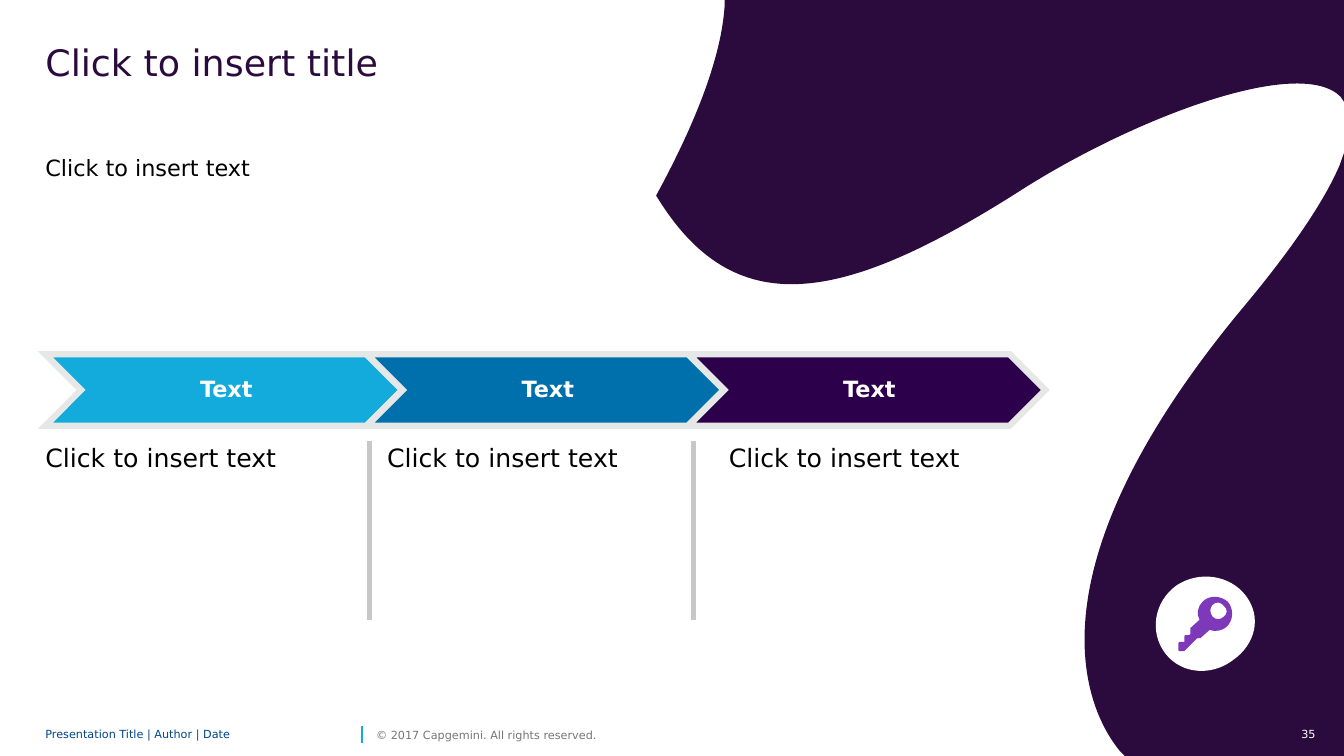
from dataclasses import dataclass

from lxml.etree import SubElement
from pptx import Presentation
from pptx.dml.color import RGBColor
from pptx.enum.shapes import MSO_CONNECTOR, MSO_SHAPE
from pptx.enum.text import MSO_ANCHOR, PP_ALIGN
from pptx.oxml.ns import qn
from pptx.util import Pt


@dataclass(frozen=True)
class Theme:
    font: str = "DejaVu Sans"
    title_size: int = 26
    column_size: int = 18
    body_size: int = 16
    footer_size: int = 8
    plum: str = "2B0A3D"
    violet: str = "2C004B"
    cyan: str = "12ABDB"
    blue: str = "0070AD"
    navy: str = "00458D"
    purple: str = "7E39BA"
    black: str = "000000"
    white: str = "FFFFFF"
    gray: str = "767676"
    divider: str = "C7C7C7"
    outline: str = "E6E7E7"


THEME = Theme()
LEFT = 32.4
FOOTER_TOP = 516.2
PLACEHOLDER = "Click to insert text"

# Outlines in points: two numbers draw a line, six draw a Bézier curve
WAVE = [
    [(960, 109.4), (960, 540), (803.5, 540), (799.9, 536.4),
     (782.6, 515.5, 721.4, 419, 889.2, 218.2),
     (925.2, 175, 946.8, 141.8, 956.9, 118.1)],
    [(517.7, 0), (960, 0), (960, 72.7), (957.6, 69.1),
     (928.1, 39.6, 810.7, 84.2, 730.1, 135.4),
     (600.5, 218.2, 524.2, 231.1, 468.7, 139.7),
     (504, 74.9, 516.2, 31.7, 517.7, 2.9)],
]
BADGE = [
    [(832.3, 466.6),
     (820.8, 451.4, 824.4, 429.8, 840.2, 418.3),
     (856.1, 407.5, 878.4, 410.4, 889.9, 425.5),
     (901.4, 440.6, 897.1, 460.1, 880.6, 471.6),
     (865.4, 483.1, 843.8, 481.7, 832.3, 466.6)],
]
KEY = [
    [(877, 429.8),
     (871.9, 425.5, 864, 424.8, 859, 429.8),
     (855.4, 433.4, 854.6, 438.5, 856.8, 442.8),
     (850.3, 448.6), (850.3, 452.9), (849.6, 453.6), (846.7, 453.6),
     (846, 454.3), (846, 458.6), (842.4, 458.6), (841.7, 459.4),
     (841.7, 464.4), (842.4, 465.1), (846, 465.1), (854.6, 456.5),
     (855.4, 455.8), (857.5, 455.8), (864, 450),
     (868.3, 451.4, 872.6, 450.7, 876.2, 447.8),
     (881.3, 442.8, 881.3, 434.9, 877, 429.8)],
    [(874.1, 440.6),
     (871.9, 442.8, 868.3, 442.8, 866.2, 440.6),
     (864, 437.8, 864, 434.2, 866.2, 432),
     (868.3, 429.8, 871.9, 429.8, 874.1, 432.7),
     (877, 434.9, 877, 438.5, 874.1, 440.6)],
]


def color(value):
    return RGBColor.from_string(value)


def add_segment(outline, tag, numbers, left, top):
    segment = SubElement(outline, qn(tag))
    for x, y in zip(numbers[::2], numbers[1::2]):
        SubElement(segment, qn("a:pt"), x=str(Pt(x - left)), y=str(Pt(y - top)))


def add_outline(slide, box, contours, fill):
    # Frame the outline first, then fill it with lines and true curves
    left, top, width, height = box
    right, bottom = left + width, top + height
    builder = slide.shapes.build_freeform(Pt(left), Pt(top))
    builder.add_line_segments(
        [(Pt(right), Pt(top)), (Pt(right), Pt(bottom)), (Pt(left), Pt(bottom))])
    shape = builder.convert_to_shape()
    outline = next(shape._element.iter(qn("a:path")))
    for child in list(outline):
        outline.remove(child)
    for contour in contours:
        add_segment(outline, "a:moveTo", contour[0], left, top)
        for numbers in contour[1:]:
            tag = "a:lnTo" if len(numbers) == 2 else "a:cubicBezTo"
            add_segment(outline, tag, numbers, left, top)
        SubElement(outline, qn("a:close"))
    shape.shadow.inherit = False
    shape.fill.solid()
    shape.fill.fore_color.rgb = color(fill)
    shape.line.fill.background()


def write_text(shape, text, size, ink, spacing=1.0, align=PP_ALIGN.LEFT,
               anchor=MSO_ANCHOR.TOP, insets=(0, 0, 0, 0), bold=False):
    frame = shape.text_frame
    frame.word_wrap = True
    frame.vertical_anchor = anchor
    (frame.margin_left, frame.margin_top,
     frame.margin_right, frame.margin_bottom) = map(Pt, insets)
    paragraph = frame.paragraphs[0]
    paragraph.alignment = align
    paragraph.line_spacing = spacing
    run = paragraph.add_run()
    run.text = text
    run.font.name = THEME.font
    run.font.size = Pt(size)
    run.font.bold = bold
    run.font.color.rgb = color(ink)


def add_text(slide, box, text, size, ink, **options):
    shape = slide.shapes.add_textbox(*map(Pt, box))
    write_text(shape, text, size, ink, **options)


def add_chevron(slide, left, text, fill):
    shape = slide.shapes.add_shape(
        MSO_SHAPE.CHEVRON, Pt(left), Pt(253), Pt(254.9), Pt(51.1))
    shape.shadow.inherit = False
    shape.fill.solid()
    shape.fill.fore_color.rgb = color(fill)
    shape.line.color.rgb = color(THEME.outline)
    shape.line.width = Pt(4.5)
    # Sharp corners
    SubElement(shape.line._get_or_add_ln(), qn("a:miter"), lim="800000")
    write_text(shape, text, THEME.body_size, THEME.white, spacing=0.9,
               align=PP_ALIGN.CENTER, anchor=MSO_ANCHOR.MIDDLE,
               insets=(5, 1.4, 1.4, 1.4), bold=True)


def add_vertical_line(slide, x, bottom, top, ink, width):
    connector = slide.shapes.add_connector(
        MSO_CONNECTOR.STRAIGHT, Pt(x), Pt(bottom), Pt(x), Pt(top))
    connector.line.color.rgb = color(ink)
    connector.line.width = Pt(width)
    SubElement(connector._element.spPr, qn("a:effectLst"))


def main():
    presentation = Presentation()
    presentation.slide_width = Pt(960)
    presentation.slide_height = Pt(540)
    slide = presentation.slides.add_slide(presentation.slide_layouts[6])

    # Background wave
    add_outline(slide, (468.7, 0, 491.3, 540), WAVE, THEME.plum)

    # Footer
    add_text(slide, (918.7, FOOTER_TOP, 28.1, 17.3), "35", THEME.footer_size,
             THEME.white, align=PP_ALIGN.RIGHT, insets=(7.2, 3.6, 7.2, 3.6))
    add_vertical_line(slide, 258.5, 530.6, 518.4, THEME.cyan, 1)
    add_text(slide, (LEFT, FOOTER_TOP, 222.5, 17.3), "Presentation Title | Author | Date",
             THEME.footer_size, THEME.navy, spacing=0.85, anchor=MSO_ANCHOR.MIDDLE)
    add_text(slide, (268.6, FOOTER_TOP, 175, 17.3), "© 2017 Capgemini. All rights reserved.",
             THEME.footer_size, THEME.gray, anchor=MSO_ANCHOR.MIDDLE)

    # Title and introduction
    add_text(slide, (LEFT, 32, 459.4, 67.7), "Click to insert title",
             THEME.title_size, THEME.plum, spacing=0.9)
    add_text(slide, (LEFT, 111.6, 436.3, 130.3), PLACEHOLDER,
             THEME.body_size, THEME.black, spacing=Pt(18))

    # Process steps with a text column under each
    for index, fill in enumerate((THEME.cyan, THEME.blue, THEME.violet)):
        add_chevron(slide, LEFT + index * 229.7, "Text", fill)
        add_text(slide, (LEFT + index * 244.1, 315.4, 226.1, 108), PLACEHOLDER,
                 THEME.column_size, THEME.black, spacing=Pt(22))

    # Key badge
    add_outline(slide, (820.8, 407.5, 81.4, 75.6), BADGE, THEME.white)
    add_outline(slide, (841.7, 424.8, 39.6, 40.3), KEY, THEME.purple)

    # Column dividers
    for x in (264.2, 495.4):
        add_vertical_line(slide, x, 443.2, 315.2, THEME.divider, 3.75)

    presentation.save("out.pptx")


if __name__ == "__main__":
    main()
